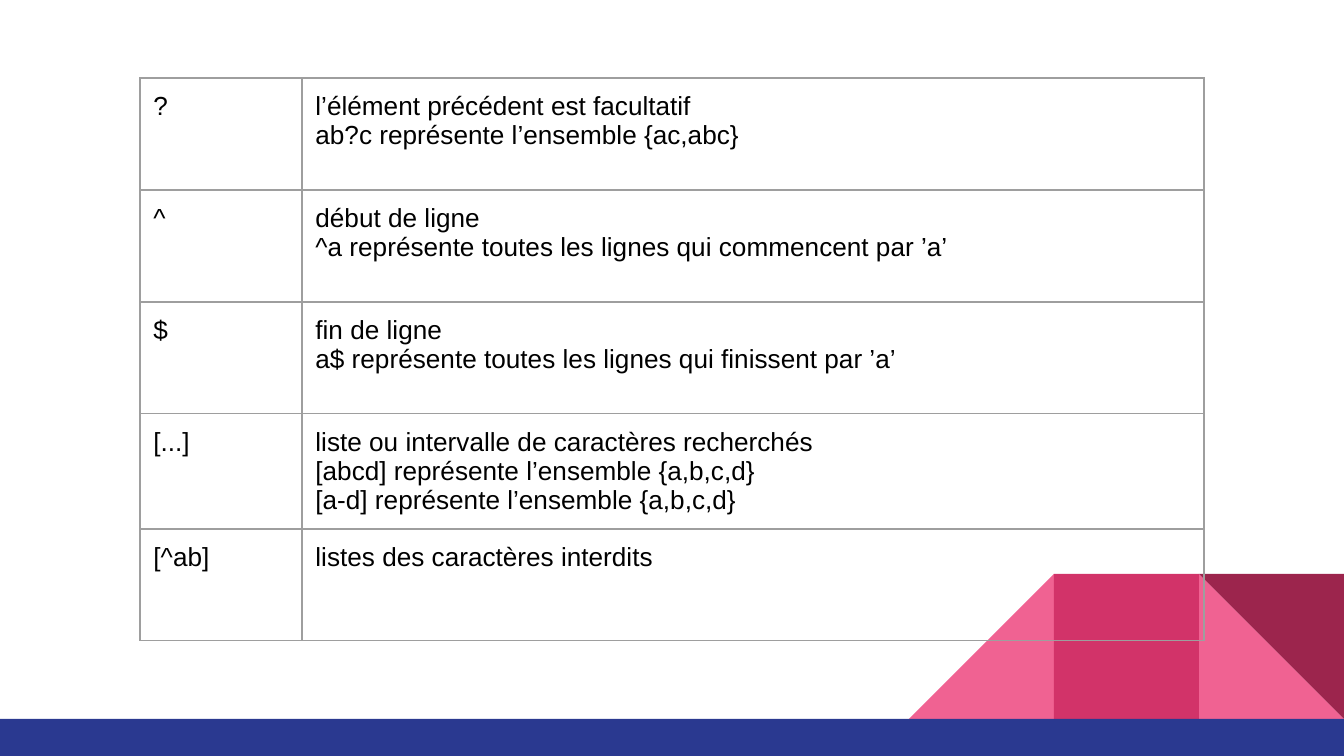
from lxml.etree import SubElement
from pptx import Presentation
from pptx.dml.color import RGBColor
from pptx.enum.shapes import MSO_SHAPE
from pptx.oxml.ns import qn
from pptx.util import Emu, Pt


def px(n):
    return Emu(round(n * 914400 / 134.4))


def color(value):
    return RGBColor.from_string(value)


prs = Presentation()
prs.slide_width, prs.slide_height = px(1344), px(756)
s = prs.slides.add_slide(prs.slide_layouts[6])

TRIANGLE, RECT = MSO_SHAPE.RIGHT_TRIANGLE, MSO_SHAPE.RECTANGLE
SIDE = 145
TOP = 574
BAR_TOP = TOP + SIDE
RIGHT = 1344 - SIDE

decorations = [
    (TRIANGLE, RIGHT, TOP, SIDE, SIDE, "F06292", 0, False),
    (TRIANGLE, RIGHT - 2 * SIDE, TOP, SIDE, SIDE, "F06292", 0, True),
    (RECT, RIGHT - SIDE, TOP, SIDE, SIDE, "D23369", 0, False),
    (TRIANGLE, RIGHT, TOP, SIDE, SIDE, "9C254D", 180, False),
    (RECT, 0, BAR_TOP, 1344, 756 - BAR_TOP, "2A3990", 0, False),
]
for kind, x, y, w, h, fill, rotation, flipped in decorations:
    sp = s.shapes.add_shape(kind, px(x), px(y), px(w), px(h))
    sp.shadow.inherit = False
    sp.fill.solid()
    sp.fill.fore_color.rgb = color(fill)
    sp.line.fill.background()
    sp.rotation = rotation
    if flipped:
        sp._element.spPr.xfrm.set("flipH", "1")

rows = [
    ("?", "l’élément précédent est facultatif\nab?c représente l’ensemble {ac,abc}"),
    ("^", "début de ligne\n^a représente toutes les lignes qui commencent par ’a’"),
    ("$", "fin de ligne\na$ représente toutes les lignes qui finissent par ’a’"),
    ("[...]", "liste ou intervalle de caractères recherchés\n"
              "[abcd] représente l’ensemble {a,b,c,d}\n"
              "[a-d] représente l’ensemble {a,b,c,d}"),
    ("[^ab]", "listes des caractères interdits"),
]
ROW_HEIGHT = 112
widths = (162, 902)
table = s.shapes.add_table(len(rows), len(widths), px(140), px(78),
                           px(sum(widths)), px(ROW_HEIGHT * len(rows))).table
table.first_row = False
table.horz_banding = False
for column, width in zip(table.columns, widths):
    column.width = px(width)

for r, texts in enumerate(rows):
    table.rows[r].height = px(ROW_HEIGHT)
    for c, text in enumerate(texts):
        cell = table.cell(r, c)
        cell.text = text
        cell.margin_left = cell.margin_right = Pt(7.2)
        cell.margin_top = cell.margin_bottom = Pt(7.2)
        for p in cell.text_frame.paragraphs:
            p.font.name = "Arial"
            p.font.size = Pt(14)
            p.font.color.rgb = color("000000")
        tcPr = cell._tc.get_or_add_tcPr()
        for side in ("lnL", "lnR", "lnT", "lnB"):
            ln = SubElement(tcPr, qn(f"a:{side}"), w=str(Pt(0.75)))
            fill = SubElement(ln, qn("a:solidFill"))
            SubElement(fill, qn("a:srgbClr"), val="9E9E9E")
        cell.fill.background()

prs.save("out.pptx")
